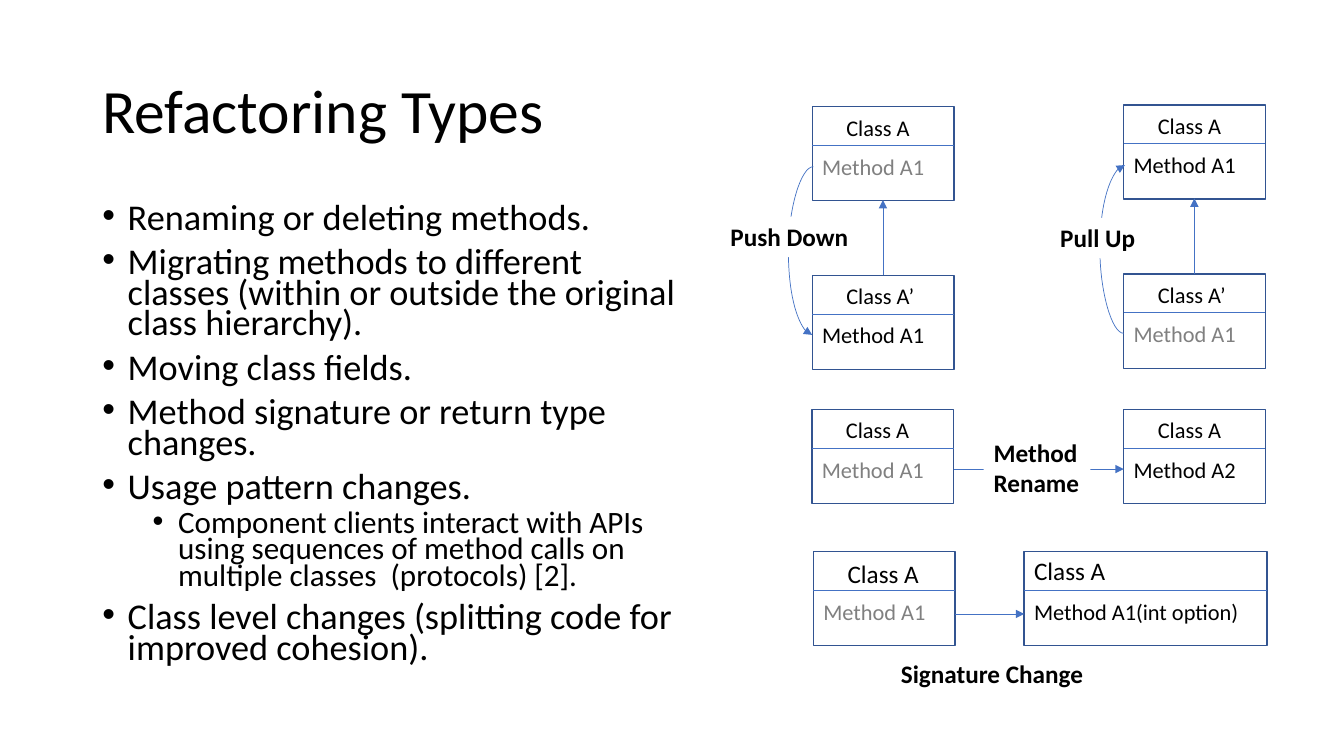
from lxml.etree import SubElement
from pptx import Presentation
from pptx.dml.color import RGBColor
from pptx.enum.shapes import MSO_CONNECTOR, MSO_SHAPE
from pptx.enum.text import MSO_ANCHOR, PP_ALIGN
from pptx.oxml.ns import qn
from pptx.util import Cm, Pt

COLORS = {"black": "000000", "gray": "808080", "white": "FFFFFF",
          "border": "325491", "line": "4472C4"}


def add_text(x, y, w, h, lines, size, color="black", bold=False, wrap=False):
    sp = s.shapes.add_textbox(Cm(x), Cm(y), Cm(w), Cm(h))
    tf = sp.text_frame
    tf.word_wrap = wrap
    for i, line in enumerate(lines):
        p = tf.paragraphs[0] if i == 0 else tf.add_paragraph()
        r = p.add_run()
        r.text = line
        r.font.name = "Calibri"
        r.font.size = Pt(size)
        r.font.bold = bold
        r.font.color.rgb = RGBColor.from_string(COLORS[color])
    return sp


def add_line(x1, y1, x2, y2, arrow=None, kind=MSO_CONNECTOR.STRAIGHT):
    sp = s.shapes.add_connector(kind, Cm(x1), Cm(y1), Cm(x2), Cm(y2))
    sp.line.width = Pt(0.5)
    sp.line.color.rgb = RGBColor.from_string(COLORS["line"])
    if arrow:
        SubElement(sp.line._get_or_add_ln(), qn(f"a:{arrow}"), type="triangle")
    SubElement(sp._element.spPr, qn("a:effectLst"))
    return sp


prs = Presentation()
prs.slide_width, prs.slide_height = Cm(33.87), Cm(19.05)
s = prs.slides.add_slide(prs.slide_layouts[6])

title = add_text(2.33, 1.01, 13.87, 3.68, ["Refactoring Types"], 44, wrap=True)
title.text_frame.vertical_anchor = MSO_ANCHOR.MIDDLE
title.text_frame.paragraphs[0].line_spacing = 0.9

bullets = [
    (0, "Renaming or deleting methods."),
    (0, "Migrating methods to different classes (within or outside the original class hierarchy)."),
    (0, "Moving class fields."),
    (0, "Method signature or return type changes."),
    (0, "Usage pattern changes."),
    (1, "Component clients interact with APIs using sequences of method calls on multiple classes  (protocols) [2]."),
    (0, "Class level changes (splitting code for improved cohesion)."),
]
body = add_text(2.33, 5.07, 15.16, 12.09, [t for _, t in bullets], 25.9, wrap=True)
for i, (p, (level, _)) in enumerate(zip(body.text_frame.paragraphs, bullets)):
    pPr = p._p.get_or_add_pPr()
    pPr.set("marL", str(Cm(0.64 + 1.27 * level)))
    pPr.set("indent", str(Cm(-0.64)))
    SubElement(pPr, qn("a:buFont"), typeface="Arial")
    SubElement(pPr, qn("a:buChar"), char="•")
    p.level = level
    p.line_spacing = 0.7
    if i:
        p.space_before = Pt(5 if level else 10)
    if level:
        p.runs[0].font.size = Pt(22.2)

classes = [
    (20.47, 2.69, 3.57, 0.61, "Class A", 2.11, 16, "Method A1", "gray"),
    (20.47, 6.94, 3.57, 0.61, "Class A’", 2.24, 16, "Method A1", "black"),
    (28.32, 2.65, 3.57, 0.61, "Class A", 2.11, 16, "Method A1", "black"),
    (28.32, 6.91, 3.57, 0.61, "Class A’", 2.24, 16, "Method A1", "gray"),
    (20.46, 10.32, 3.57, 0.61, "Class A", 2.11, 16, "Method A1", "gray"),
    (28.32, 10.32, 3.57, 0.61, "Class A", 2.11, 16, "Method A2", "black"),
    (20.5, 13.9, 3.57, 0.61, "Class A", 2.34, 18, "Method A1", "gray"),
    (25.81, 13.9, 6.12, 0, "Class A", 5.74, 18, "Method A1(int option)", "black"),
]
for x, y, w, indent, name, name_w, size, method, color in classes:
    box = s.shapes.add_shape(MSO_SHAPE.RECTANGLE, Cm(x), Cm(y), Cm(w), Cm(2.37))
    box.shadow.inherit = False
    box.fill.background()
    box.line.width = Pt(1)
    box.line.color.rgb = RGBColor.from_string(COLORS["border"])
    add_line(x, y + 0.97, x + w, y + 0.97)
    name_y = y + 0.05 if indent else y - 0.03
    add_text(x + indent, name_y, name_w, 0.94 if size == 16 else 1.02,
             [name], size, wrap=not indent)
    add_text(x, y + 1.04, 3.12 if indent else 5.97, 0.94,
             [method], 16, color, wrap=not indent)

for x, y, arrow in [(20.47, 2.69, "tailEnd"), (28.32, 2.65, "headEnd")]:
    add_line(x + 1.78, y + 4.25, x + 1.78, y + 2.35, "tailEnd")
    curve = add_line(x + 0.03, y + 1.51, x, y + 5.75, arrow, MSO_CONNECTOR.CURVE)
    guides = curve._element.spPr.find(qn("a:prstGeom")).find(qn("a:avLst"))
    SubElement(guides, qn("a:gd"), name="adj1", fmla="val 2100000")

add_line(24.05, 11.82, 28.32, 11.82, "tailEnd")
add_line(24.07, 15.47, 25.81, 15.47, "tailEnd")

labels = [
    (18.16, 5.46, 3.51, 1.02, ["Push Down"]),
    (26.47, 5.49, 2.41, 1.02, ["Pull Up"]),
    (24.79, 10.9, 2.69, 1.8, ["Method", "Rename"]),
]
for x, y, w, h, lines in labels:
    sp = add_text(x, y, w, h, lines, 18, bold=True)
    sp.fill.solid()
    sp.fill.fore_color.rgb = RGBColor.from_string(COLORS["white"])

sp = add_text(22.28, 16.46, 5.44, 1.02, ["Signature Change"], 18, bold=True, wrap=True)
sp.text_frame.paragraphs[0].alignment = PP_ALIGN.CENTER

prs.save("out.pptx")
